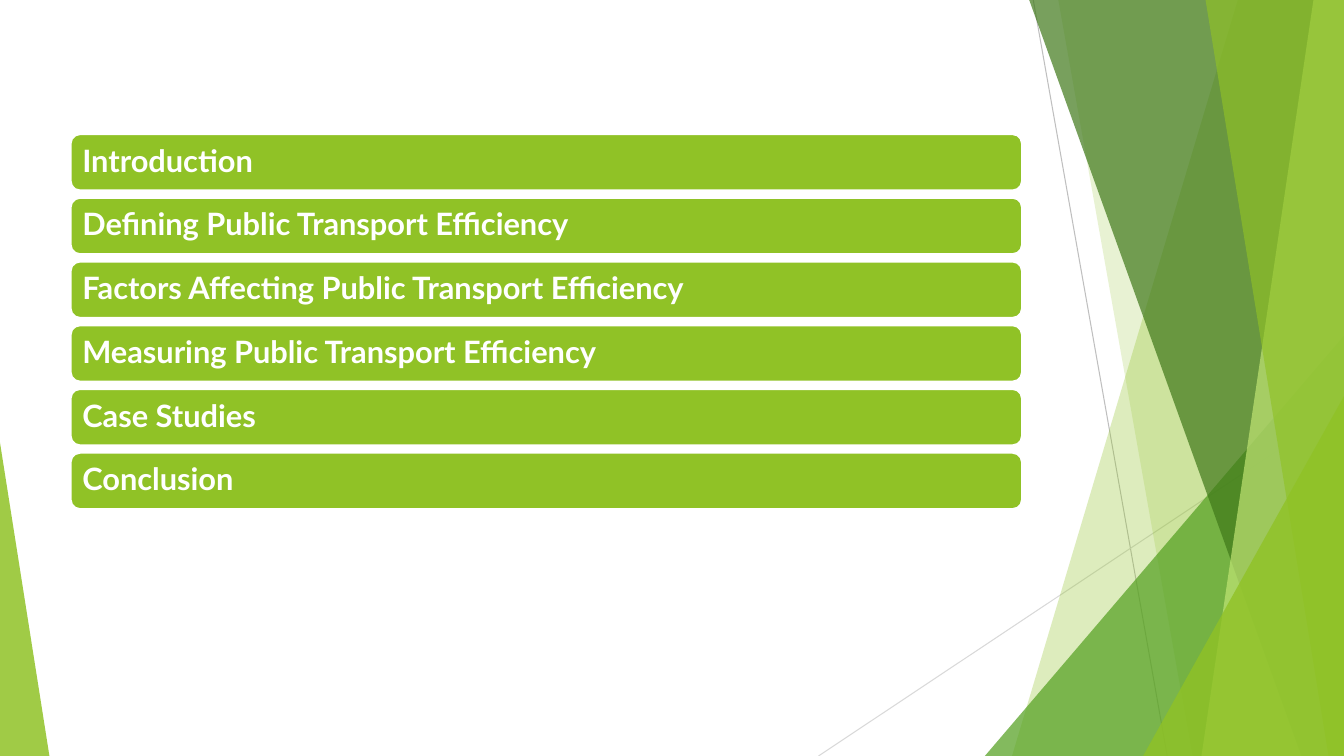
from dataclasses import dataclass

from lxml import etree
from pptx import Presentation
from pptx.dml.color import RGBColor
from pptx.enum.shapes import MSO_CONNECTOR, MSO_SHAPE
from pptx.enum.text import MSO_ANCHOR, PP_ALIGN
from pptx.oxml.ns import qn
from pptx.shapes.autoshape import Shape
from pptx.slide import Slide
from pptx.util import Inches, Pt

STRAIGHT = MSO_CONNECTOR.STRAIGHT
TRIANGLE = MSO_SHAPE.ISOSCELES_TRIANGLE
ROUNDED = MSO_SHAPE.ROUNDED_RECTANGLE
MIDDLE = MSO_ANCHOR.MIDDLE
LEFT = PP_ALIGN.LEFT

WHITE = RGBColor(0xFF, 0xFF, 0xFF)
LIME = RGBColor(0x90, 0xC2, 0x26)
PALE_LIME = RGBColor(0xC0, 0xE4, 0x74)
GREEN = RGBColor(0x54, 0xA0, 0x21)
DARK_GREEN = RGBColor(0x3F, 0x78, 0x19)
GREY = RGBColor(0xBF, 0xBF, 0xBF)
PALE_GREY = RGBColor(0xD9, 0xD9, 0xD9)

WIDTH, HEIGHT = Inches(13.333), Inches(7.5)

# Agenda bars, in percent of the slide
BAR_LEFT, BAR_WIDTH = 5.25, 70.8
BAR_TOP, BAR_HEIGHT, BAR_PITCH = 17.73, 7.47, 8.43
TOPICS = (
    "Introduction",
    "Defining Public Transport Efficiency",
    "Factors Affecting Public Transport Efficiency",
    "Measuring Public Transport Efficiency",
    "Case Studies",
    "Conclusion",
)


@dataclass(frozen=True)
class Ray:
    """Thin line between two points."""
    start: tuple[float, float]
    end: tuple[float, float]
    color: RGBColor


@dataclass(frozen=True)
class Band:
    """Full-height panel with a slanted left edge, reaching the right edge."""
    top_left: float
    bottom_left: float
    color: RGBColor
    opacity: int


@dataclass(frozen=True)
class Corner:
    """Right triangle standing on the bottom edge."""
    left: float
    top: float
    width: float
    apex: float
    color: RGBColor
    opacity: int


RAYS = (
    Ray((76.88, 0), (86.85, 100), GREY),
    Ray((100, 53.73), (60.9, 100), PALE_GREY),
)
FACETS = (
    Band(92.1, 75.3, LIME, 30),
    Band(78.75, 88.73, LIME, 20),
    Corner(73.28, 44.4, 26.72, 1, GREEN, 72),
    Band(76.58, 96.83, DARK_GREEN, 70),
    Band(97.73, 89.4, PALE_LIME, 70),
    Band(89.7, 98.85, LIME, 65),
    Corner(85.05, 52.4, 14.95, 1, LIME, 80),
    Corner(0, 58.53, 3.68, 0, LIME, 85),
)


def across(percent: float) -> int:
    return round(WIDTH * percent / 100)


def down(percent: float) -> int:
    return round(HEIGHT * percent / 100)


def paint(shape: Shape, color: RGBColor, opacity: int = 100) -> None:
    shape.shadow.inherit = False
    shape.fill.solid()
    shape.fill.fore_color.rgb = color
    shape.line.fill.background()
    if opacity < 100:
        tint = shape.fill._xPr.find(qn("a:solidFill"))[0]
        etree.SubElement(tint, qn("a:alpha"), val=str(opacity * 1000))


def draw_ray(page: Slide, ray: Ray) -> None:
    line = page.shapes.add_connector(
        STRAIGHT, across(ray.start[0]), down(ray.start[1]),
        across(ray.end[0]), down(ray.end[1]))
    line.line.color.rgb = ray.color
    line.line.width = Pt(0.75)
    etree.SubElement(line._element.spPr, qn("a:effectLst"))


def draw_band(page: Slide, band: Band) -> None:
    outline = page.shapes.build_freeform(across(band.top_left), 0)
    outline.add_line_segments(
        [(WIDTH, 0), (WIDTH, HEIGHT), (across(band.bottom_left), HEIGHT)])
    paint(outline.convert_to_shape(), band.color, band.opacity)


def draw_corner(page: Slide, corner: Corner) -> None:
    triangle = page.shapes.add_shape(
        TRIANGLE, across(corner.left), down(corner.top),
        across(corner.width), down(100 - corner.top))
    triangle.adjustments[0] = corner.apex
    paint(triangle, corner.color, corner.opacity)


def draw_bar(page: Slide, row: int, topic: str) -> None:
    bar = page.shapes.add_shape(
        ROUNDED, across(BAR_LEFT), down(BAR_TOP + row * BAR_PITCH),
        across(BAR_WIDTH), down(BAR_HEIGHT))
    paint(bar, LIME)
    bar.line.color.rgb = WHITE
    bar.line.width = Pt(1.5)

    frame = bar.text_frame
    frame.text = topic
    frame.word_wrap = True
    frame.vertical_anchor = MIDDLE
    frame.margin_left = frame.margin_right = Inches(0.09)
    frame.margin_top = frame.margin_bottom = Inches(0.09)
    para = frame.paragraphs[0]
    para.alignment = LEFT
    para.line_spacing = 0.9
    font = para.runs[0].font
    font.name, font.size, font.bold = "Lato", Pt(22), True
    font.color.rgb = WHITE


def main() -> None:
    deck = Presentation()
    deck.slide_width, deck.slide_height = WIDTH, HEIGHT
    page = deck.slides.add_slide(deck.slide_layouts.get_by_name("Blank"))
    page.background.fill.solid()
    page.background.fill.fore_color.rgb = WHITE

    # Faceted backdrop
    for ray in RAYS:
        draw_ray(page, ray)
    for facet in FACETS:
        if isinstance(facet, Band):
            draw_band(page, facet)
        else:
            draw_corner(page, facet)

    # Agenda
    for row, topic in enumerate(TOPICS):
        draw_bar(page, row, topic)

    deck.save("out.pptx")


if __name__ == "__main__":
    main()
